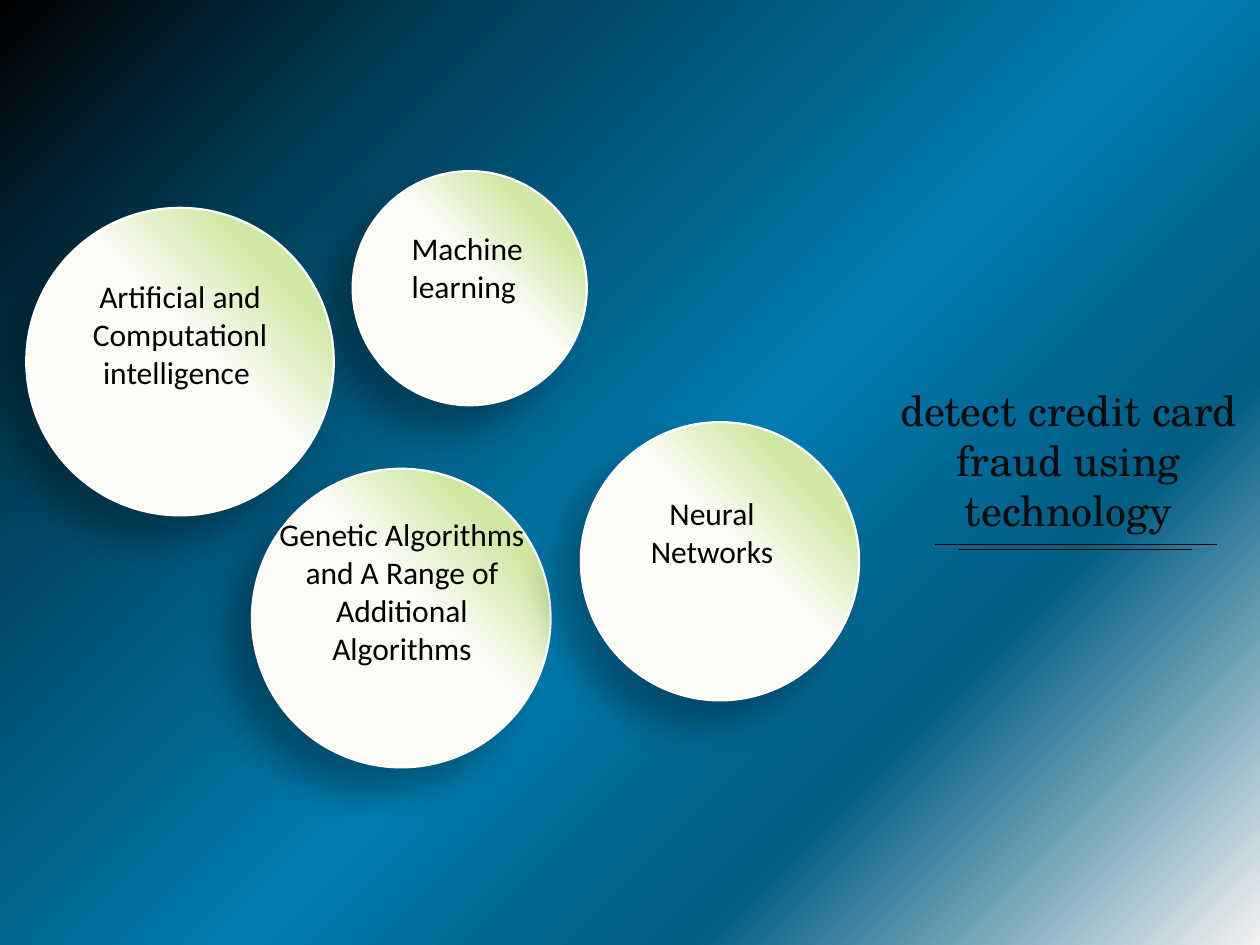
import pptx
import pptx.util
import pptx.dml.color
import pptx.enum.shapes
import pptx.enum.text
import pptx.oxml
import pptx.oxml.ns
from pptx.util import Cm

COLORS = {
    "black": "000000", "deep": "003E58", "bright": "007CB0", "mid": "006894",
    "dark": "005D84", "pale": "F2F2F2", "title": "0D0D0D", "white": "FFFFFF",
    "cream": "FAFCF5", "green": "D1E8A5",
}
BACKDROP = [(0, "black", 69), (21, "deep", 100), (54, "bright", 100),
            (65, "mid", 100), (74, "dark", 100), (100, "pale", 100)]
BUBBLE = [(57, "cream", 100), (80, "green", 100)]
LINEAR = '<a:lin {ns} ang="2700000" scaled="0"/>'
RADIAL = ('<a:path {ns} path="circle"><a:fillToRect t="100000" r="100000"/>'
          '</a:path>')
SHADOW = ('<a:outerShdw {ns} blurRad="266700" dist="254000" dir="8100000" '
          'algn="tr" rotWithShape="0"><a:srgbClr val="{color}">'
          '<a:alpha val="31000"/></a:srgbClr></a:outerShdw>')

CIRCLES = [(6.58, 0, 4.72), (4.55, 6, 6.02), (0, 0.74, 6.2),
           (11.18, 5.06, 5.61)]
LABELS = [
    ("Artificial and Computationl intelligence ", 0.94, 2.01, 4.32, 2.57),
    ("Machine learning ", 7.39, 1.05, 3, 1.8),
    ("Genetic Algorithms and A Range of Additional Algorithms",
     4.73, 6.81, 5.69, 3.33),
    ("Neural Networks", 12.25, 6.38, 3.15, 1.8),
]


def rgb(name):
    return pptx.dml.color.RGBColor.from_string(COLORS[name])


def xml(template, **values):
    return pptx.oxml.parse_xml(
        template.format(ns=pptx.oxml.ns.nsdecls("a"), **values))


def set_gradient(owner, fill, stops, direction):
    fill.gradient()
    grad = owner.find(".//" + pptx.oxml.ns.qn("a:gradFill"))
    for child in list(grad):
        grad.remove(child)
    items = "".join(
        f'<a:gs pos="{pos * 1000}"><a:srgbClr val="{COLORS[name]}">'
        f'<a:alpha val="{alpha * 1000}"/></a:srgbClr></a:gs>'
        for pos, name, alpha in stops)
    grad.append(xml("<a:gsLst {ns}>" + items + "</a:gsLst>"))
    grad.append(xml(direction))


def add_text(shapes, text, x, y, w, h, font, size, color):
    tf = shapes.add_textbox(Cm(x), Cm(y), Cm(w), Cm(h)).text_frame
    tf.word_wrap = True
    tf.auto_size = pptx.enum.text.MSO_AUTO_SIZE.SHAPE_TO_FIT_TEXT
    tf.text = text
    p = tf.paragraphs[0]
    p.alignment = pptx.enum.text.PP_ALIGN.CENTER
    r = p.runs[0]
    r.font.name = font
    r.font.size = pptx.util.Pt(size)
    r.font.color.rgb = rgb(color)


def add_title(s, x, y, w, h):
    add_text(s.shapes, "detect credit card fraud using technology",
             x, y, w, h, "TeX Gyre Schola", 24, "title")
    for left, right, top in [(1.02, 6.71, 3.35), (1.5, 6.2, 3.45)]:
        rule = s.shapes.add_connector(
            pptx.enum.shapes.MSO_CONNECTOR.STRAIGHT,
            Cm(x + left), Cm(y + top), Cm(x + right), Cm(y + top))
        rule.line.color.rgb = rgb("black")
        rule.line.width = pptx.util.Pt(0.5)
        rule.element.spPr.append(xml("<a:effectLst {ns}/>"))


def add_bubbles(s, x, y):
    shapes = s.shapes.add_group_shape().shapes
    for left, top, size in CIRCLES:
        sp = shapes.add_shape(pptx.enum.shapes.MSO_SHAPE.OVAL,
                              Cm(x + left), Cm(y + top), Cm(size), Cm(size))
        set_gradient(sp.element, sp.fill, BUBBLE, RADIAL)
        sp.line.color.rgb = rgb("white")
        sp.line.width = pptx.util.Pt(1.25)
        sp.shadow.inherit = False
        effects = sp.element.spPr.find(pptx.oxml.ns.qn("a:effectLst"))
        effects.append(xml(SHADOW, color=COLORS["black"]))
    for text, left, top, w, h in LABELS:
        add_text(shapes, text, x + left, y + top, w, h, "Calibri", 18, "black")


def main():
    prs = pptx.Presentation()
    prs.slide_width, prs.slide_height = Cm(25.4), Cm(19.05)
    s = prs.slides.add_slide(prs.slide_layouts[6])
    set_gradient(s.element, s.background.fill, BACKDROP, LINEAR)
    add_title(s, 17.83, 7.62, 7.42, 3.33)
    add_bubbles(s, 0.53, 3.45)
    prs.save("out.pptx")


if __name__ == "__main__":
    main()
